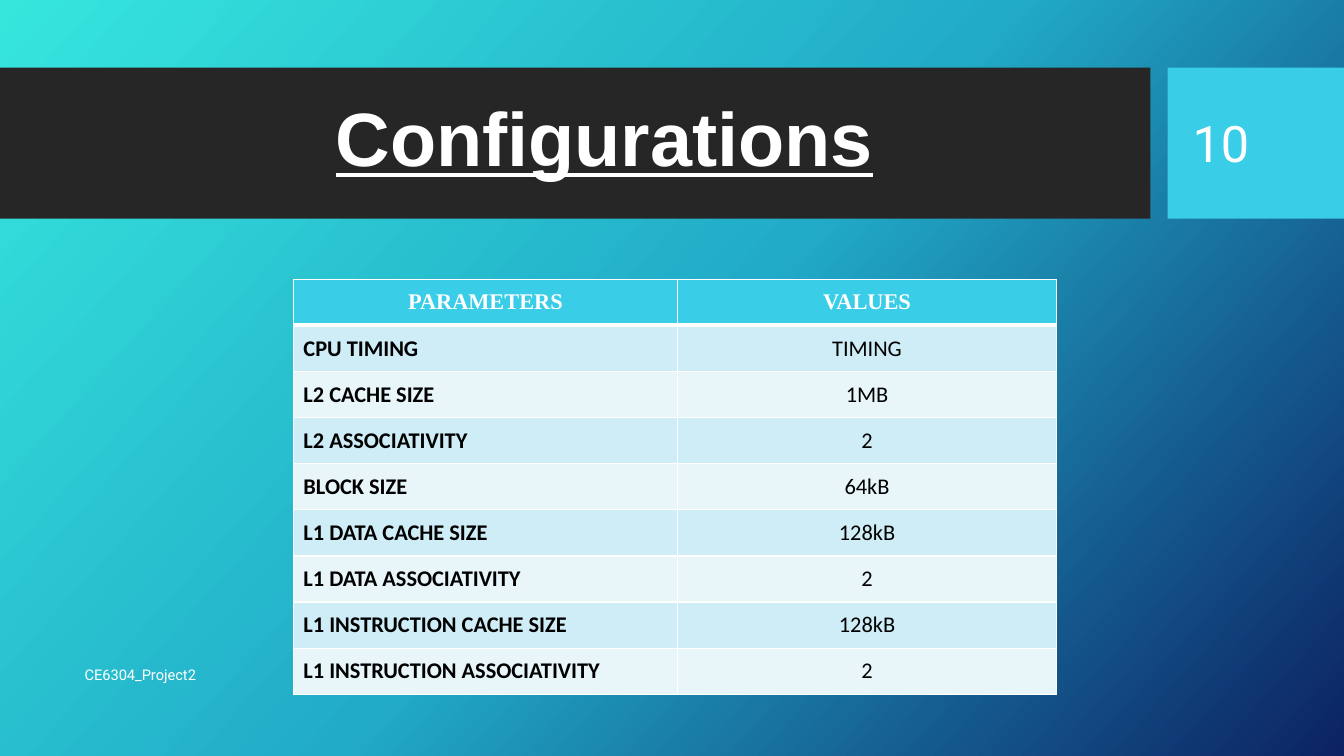
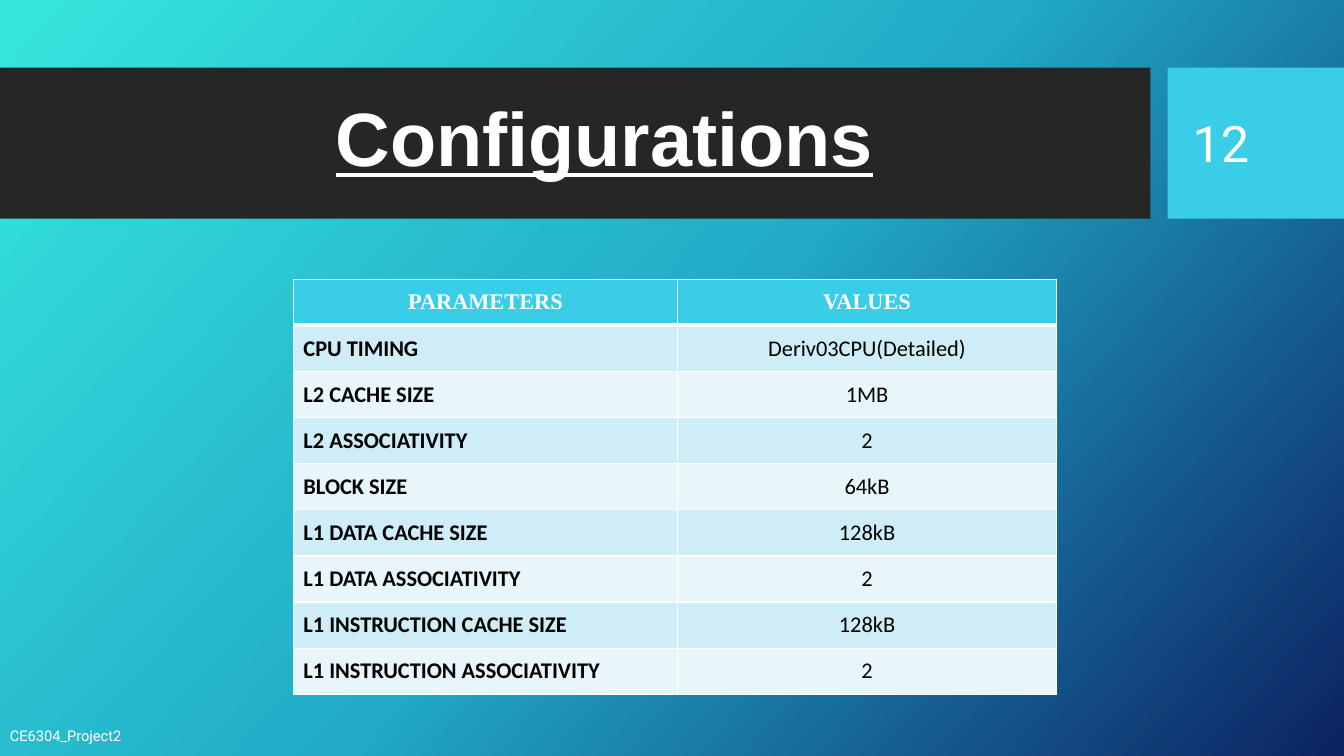
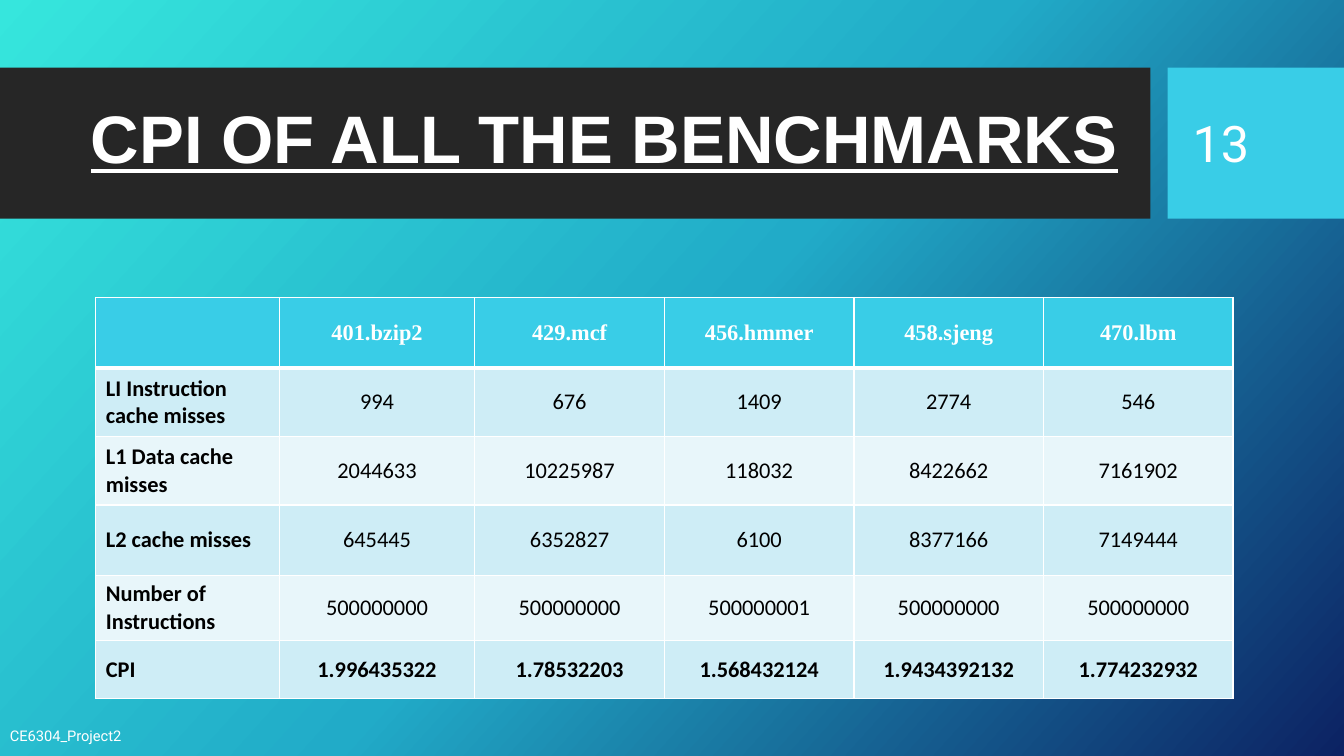
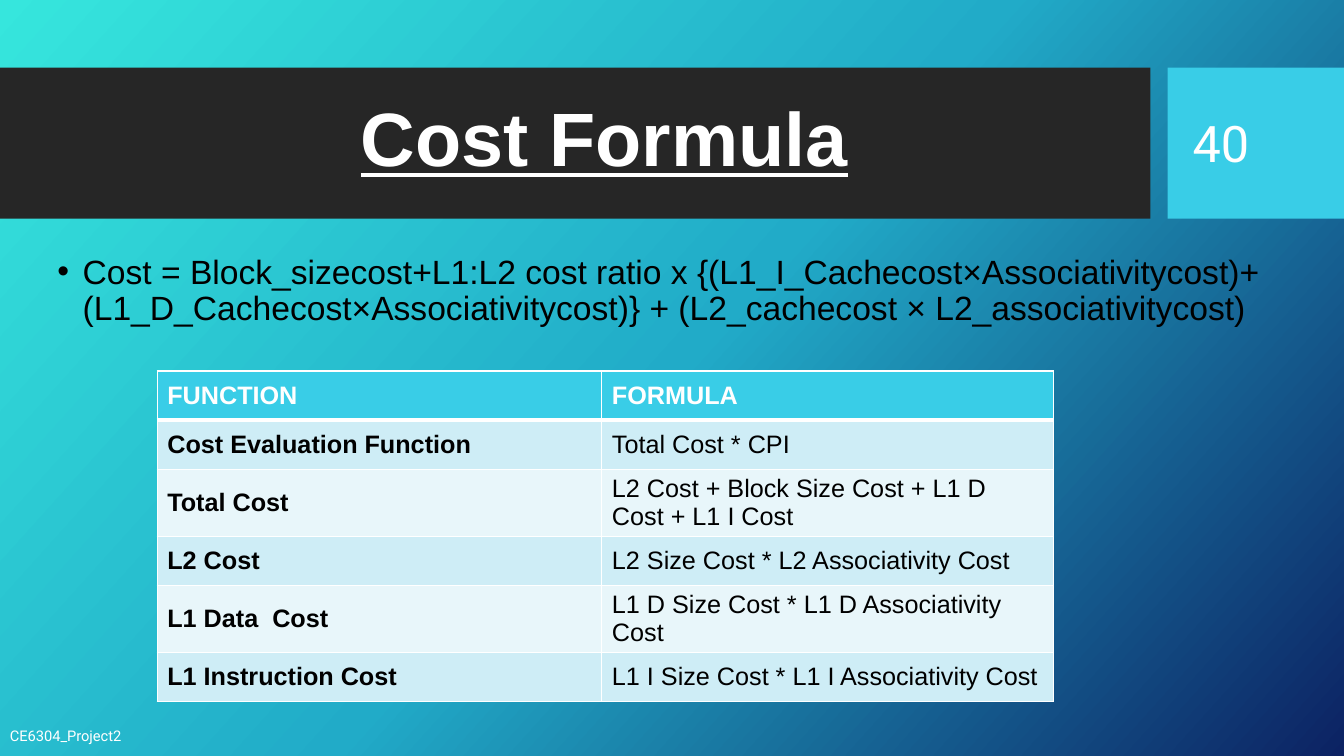
from copy import deepcopy
from lxml.etree import SubElement
from pptx import Presentation
from pptx.dml.color import RGBColor
from pptx.enum.shapes import MSO_SHAPE
from pptx.enum.text import MSO_ANCHOR, MSO_AUTO_SIZE, PP_ALIGN
from pptx.oxml.ns import qn
from pptx.util import Inches, Pt

WHITE, BLACK, CYAN, DARK = "FFFFFF", "000000", "39CDE7", "262626"
STRIPES = "CEEDF6", "E8F6FA"
STOPS = (0, "36E6DD"), (0.5, "21ABC8"), (1, "0C2263")
BANDS = ((0, 0.67, 11.41, 1.5), DARK), ((11.58, 0.67, 1.75, 1.5), CYAN)
FOOTER = "CE6304_Project2"
LOW = 0, 7.1


def setup(timing):
    return [
        ("PARAMETERS", "VALUES"),
        ("CPU TIMING", timing),
        ("L2 CACHE SIZE", "1MB"),
        ("L2 ASSOCIATIVITY", "2"),
        ("BLOCK SIZE", "64kB"),
        ("L1 DATA CACHE SIZE", "128kB"),
        ("L1 DATA ASSOCIATIVITY", "2"),
        ("L1 INSTRUCTION CACHE SIZE", "128kB"),
        ("L1 INSTRUCTION ASSOCIATIVITY", "2"),
    ]


MISSES = [
    ("", "401.bzip2", "429.mcf", "456.hmmer", "458.sjeng", "470.lbm"),
    ("LI Instruction cache misses", "994", "676", "1409", "2774", "546"),
    ("L1 Data cache misses", "2044633", "10225987", "118032", "8422662", "7161902"),
    ("L2 cache misses", "645445", "6352827", "6100", "8377166", "7149444"),
    ("Number of Instructions", "500000000", "500000000", "500000001", "500000000", "500000000"),
    ("CPI", "1.996435322", "1.78532203", "1.568432124", "1.9434392132", "1.774232932"),
]
COSTS = [
    ("FUNCTION", "FORMULA"),
    ("Cost Evaluation Function", "Total Cost * CPI"),
    ("Total Cost", "L2 Cost + Block Size Cost + L1 D Cost + L1 I Cost"),
    ("L2 Cost", "L2 Size Cost * L2 Associativity Cost"),
    ("L1 Data  Cost", "L1 D Size Cost * L1 D Associativity Cost"),
    ("L1 Instruction Cost", "L1 I Size Cost * L1 I Associativity Cost"),
]
COST = (
    "Cost = Block_sizecost+L1:L2 cost ratio x {(L1_I_Cachecost×Associativitycost)+ "
    "(L1_D_Cachecost×Associativitycost)} + (L2_cachecost × L2_associativitycost)"
)

SERIF = {"fonts": ("Times New Roman", "Calibri"), "size": 16, "center": True}
SANS = {"fonts": ("Arial", "Arial"), "size": 18, "center": False}
PAIRS = {"at": (2.91, 2.77), "cols": [3.81, 3.76], "heights": [4.12 / 9] * 9, **SERIF}
WIDE = {"at": (0.95, 2.95), "cols": [1.82, 1.94] + [1.88] * 4,
        "heights": [0.7, 0.68, 0.68, 0.7, 0.58, 0.58], "total": True, **SERIF}
RULES = {"at": (1.56, 3.68), "cols": [4.41, 4.48],
         "heights": [0.49, 0.49, 0.44, 0.49, 0.49, 0.49], **SANS}

SLIDES = [
    {"title": "Configurations", "number": "10", "foot": (0.74, 6.49),
     "rows": setup("TIMING"), "grid": PAIRS},
    {"title": "Configurations", "number": "12",
     "rows": setup("Deriv03CPU(Detailed)"), "grid": PAIRS},
    {"title": "CPI OF ALL THE BENCHMARKS", "number": "13", "size": 48,
     "rows": MISSES, "grid": WIDE},
    {"title": "Cost Formula", "number": "40", "body": COST,
     "rows": COSTS, "grid": RULES},
]


def color(code):
    return RGBColor.from_string(code)


def paint(fill, code):
    fill.solid()
    fill.fore_color.rgb = color(code)


def place(shape, box):
    for name, value in zip(("left", "top", "width", "height"), box):
        setattr(shape, name, Inches(value))


def write(frame, text, size, face, code, align=PP_ALIGN.LEFT, **style):
    frame.text = text
    para = frame.paragraphs[0]
    para.alignment = align
    font = para.runs[0].font if para.runs else para.font
    for name, value in {"size": Pt(size), "name": face, **style}.items():
        setattr(font, name, value)
    font.color.rgb = color(code)
    return para


def label(slide, box, text, size):
    frame = slide.shapes.add_textbox(*map(Inches, box)).text_frame
    frame.word_wrap = True
    frame.vertical_anchor = MSO_ANCHOR.MIDDLE
    write(frame, text, size, "Roboto", WHITE)


def dress(master, slide):
    fill = master.background.fill
    fill.gradient()
    fill.gradient_angle = 318
    stops = next(master.element.iter(qn("a:gsLst")))
    stops.append(deepcopy(stops[0]))
    for stop, (spot, code) in zip(fill.gradient_stops, STOPS):
        stop.position = spot
        stop.color.rgb = color(code)
    for i, (box, code) in enumerate(BANDS):
        band = slide.shapes.add_shape(MSO_SHAPE.RECTANGLE, *map(Inches, box))
        band.shadow.inherit = False
        paint(band.fill, code)
        band.line.fill.background()
        band.element.nvSpPr.cNvPr.id = 20 + i
        master.shapes.element.insert(2 + i, band.element)


def border(cell, row):
    props = cell._tc.get_or_add_tcPr()
    thick = {"B": row == 0, "T": row == 1}
    for i, side in enumerate("LRTB"):
        width = Pt(3 if thick.get(side) else 1)
        line = SubElement(props, qn("a:ln" + side), w=str(width))
        solid = SubElement(line, qn("a:solidFill"))
        SubElement(solid, qn("a:srgbClr"), val=WHITE)
        props.insert(i, line)


def table(slide, rows, at, cols, heights, fonts, size, center, total=False):
    box = (*at, sum(cols), sum(heights))
    grid = slide.shapes.add_table(len(rows), len(cols), *map(Inches, box)).table
    grid.horz_banding = False
    for col, width in zip(grid.columns, cols):
        col.width = Inches(width)
    for r, texts in enumerate(rows):
        grid.rows[r].height = Inches(heights[r])
        head = r == 0
        last = total and r == len(rows) - 1
        for c, text in enumerate(texts):
            cell = grid.cell(r, c)
            cell.vertical_anchor = MSO_ANCHOR.MIDDLE
            if last and c:
                for side in ("left", "top", "right"):
                    setattr(cell, "margin_" + side, Inches(0.01))
                cell.margin_bottom = 0
            align = PP_ALIGN.CENTER if center and (head or c) else PP_ALIGN.LEFT
            write(cell.text_frame, text, size, fonts[0 if head else 1],
                  WHITE if head else BLACK, align, bold=head or c == 0 or last)
            paint(cell.fill, CYAN if head else STRIPES[(r - 1) % 2])
            border(cell, r)


def heading(slide, text, size):
    title = slide.shapes.title
    place(title, (0.74, 0.82, 10.51, 1.18))
    frame = title.text_frame
    frame.auto_size = MSO_AUTO_SIZE.NONE
    frame.vertical_anchor = MSO_ANCHOR.MIDDLE
    para = write(frame, text, size, "Arial", WHITE, PP_ALIGN.CENTER,
                 bold=True, underline=True)
    para.line_spacing = 0.9


def bullet(slide, text):
    body = slide.placeholders[1]
    place(body, (0.47, 2.48, 12.59, 1.78))
    body.text_frame.auto_size = MSO_AUTO_SIZE.NONE
    para = write(body.text_frame, text, 24, "Arial", BLACK)
    para.line_spacing = 0.9
    para.space_before = Pt(10)
    props = para._p.get_or_add_pPr()
    props.set("marL", str(Inches(0.25)))
    props.set("indent", str(-Inches(0.25)))


def main():
    deck = Presentation()
    deck.slide_width, deck.slide_height = Inches(13.33), Inches(7.5)
    for i, page in enumerate(SLIDES):
        layout = deck.slide_layouts[1 if "body" in page else 5]
        slide = deck.slides.add_slide(layout)
        if i == 0:
            dress(deck.slide_master, slide)
        heading(slide, page["title"], page.get("size", 54))
        if "body" in page:
            bullet(slide, page["body"])
        table(slide, page["rows"], **page["grid"])
        label(slide, (*page.get("foot", LOW), 7.51, 0.4), FOOTER, 10.5)
        label(slide, (11.73, 0.82, 1.26, 1.19), page["number"], 36)
    deck.save("out.pptx")


if __name__ == "__main__":
    main()
